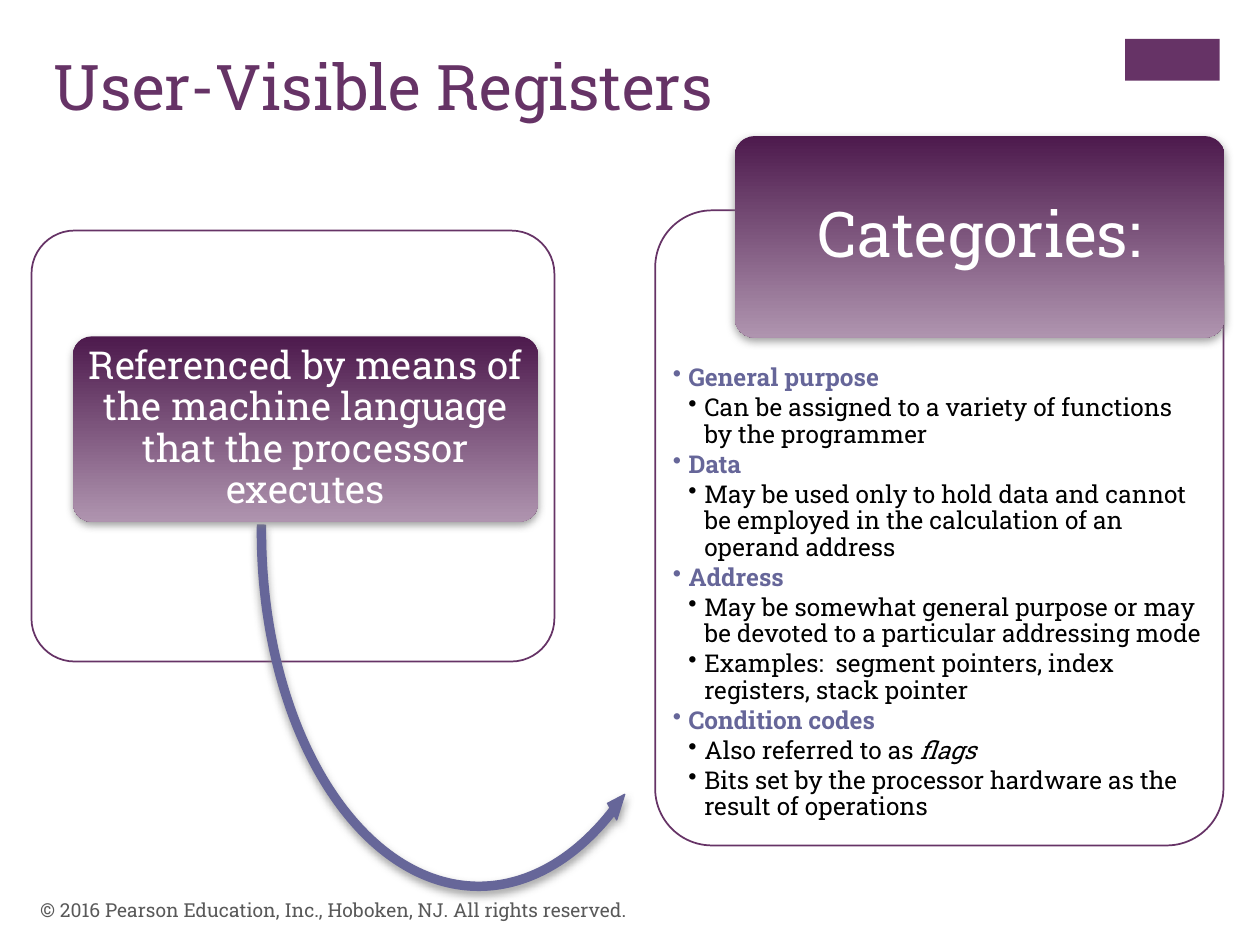
from lxml import etree
from pptx import Presentation
from pptx.dml.color import RGBColor
from pptx.enum.shapes import MSO_SHAPE
from pptx.enum.text import MSO_ANCHOR, PP_ALIGN
from pptx.oxml.ns import qn
from pptx.util import Inches, Pt

RECTANGLE = MSO_SHAPE.RECTANGLE
ROUNDED = MSO_SHAPE.ROUNDED_RECTANGLE
CURVED_ARROW = MSO_SHAPE.LEFT_CIRCULAR_ARROW
TOP, MIDDLE = MSO_ANCHOR.TOP, MSO_ANCHOR.MIDDLE
LEFT, CENTER = PP_ALIGN.LEFT, PP_ALIGN.CENTER

FONT = "Roboto Slab"
PURPLE = RGBColor(0x66, 0x33, 0x66)
DARK_PURPLE = RGBColor(0x4D, 0x1A, 0x4D)
PALE_PURPLE = RGBColor(0xAF, 0x94, 0xAF)
SLATE = RGBColor(0x66, 0x66, 0x99)
GRAY = RGBColor(0x59, 0x59, 0x59)
WHITE = RGBColor(0xFF, 0xFF, 0xFF)
BLACK = RGBColor(0, 0, 0)

# Each category: its name and points; a point is a list of (text, italic) spans.
CATEGORIES = [
    ("General purpose", [
        [("Can be assigned to a variety of functions by the programmer", False)],
    ]),
    ("Data", [
        [("May be used only to hold data and cannot be employed in the "
          "calculation of an operand address", False)],
    ]),
    ("Address", [
        [("May be somewhat general purpose or may be devoted to a particular "
          "addressing mode", False)],
        [("Examples:  segment pointers, index registers, stack pointer", False)],
    ]),
    ("Condition codes", [
        [("Also referred to as ", False), ("flags", True)],
        [("Bits set by the processor hardware as the result of operations", False)],
    ]),
]


def add_span(para, text, size, color, bold=False, italic=False):
    span = para.add_run()
    span.text = text
    font = span.font
    font.name, font.size = FONT, Pt(size)
    font.bold, font.italic = bold, italic
    font.color.rgb = color


def set_frame(shape, inset_x, inset_y, anchor):
    frame = shape.text_frame
    frame.word_wrap = True
    frame.margin_left = frame.margin_right = Inches(inset_x)
    frame.margin_top = frame.margin_bottom = Inches(inset_y)
    frame.vertical_anchor = anchor
    return frame


def add_box(page, box, inset_x=0.1, inset_y=0.05, anchor=TOP):
    shape = page.shapes.add_textbox(*map(Inches, box))
    return set_frame(shape, inset_x, inset_y, anchor)


def add_line_of_text(page, box, text, size, color, anchor=TOP):
    para = add_box(page, box, anchor=anchor).paragraphs[0]
    add_span(para, text, size, color)


def add_shape(page, preset, box, fill=None, line=None, line_width=1):
    shape = page.shapes.add_shape(preset, *map(Inches, box))
    shape.shadow.inherit = False
    if fill is not None:
        shape.fill.solid()
        shape.fill.fore_color.rgb = fill
    if line is None:
        shape.line.fill.background()
    else:
        shape.line.color.rgb = line
        shape.line.width = Pt(line_width)
    return shape


def add_soft_shadow(shape):
    effects = shape._element.spPr.find(qn("a:effectLst"))
    shadow = etree.SubElement(effects, qn("a:outerShdw"), blurRad=str(Pt(5)),
                              dist=str(Pt(2)), dir="5400000", rotWithShape="0")
    color = etree.SubElement(shadow, qn("a:srgbClr"), val="808080")
    etree.SubElement(color, qn("a:alpha"), val="75000")


def add_panel(page, box):
    panel = add_shape(page, ROUNDED, box, WHITE, PURPLE)
    panel.adjustments[0] = 0.1
    color = panel._element.spPr.find(qn("a:solidFill"))[0]
    etree.SubElement(color, qn("a:alpha"), val="90000")


def add_gradient_card(page, box, text, size, inset_x, inset_y):
    card = add_shape(page, ROUNDED, box)
    card.adjustments[0] = 0.1
    card.fill.gradient()
    card.fill.gradient_angle = 270
    for stop, color in zip(card.fill.gradient_stops, (DARK_PURPLE, PALE_PURPLE)):
        stop.color.rgb = color
    add_soft_shadow(card)
    para = set_frame(card, inset_x, inset_y, MIDDLE).paragraphs[0]
    para.alignment = CENTER
    para.line_spacing = 0.9
    add_span(para, text, size, WHITE)


def add_curved_arrow(page, box):
    arrow = add_shape(page, CURVED_ARROW, box, SLATE, SLATE, 0.75)
    for index, value in enumerate((0.018, 2.16, 38.717, 109.047, 0.021)):
        arrow.adjustments[index] = value
    add_soft_shadow(arrow)


def format_bullet(para, level):
    para.level = level
    para.alignment = LEFT
    para.line_spacing = 0.9
    para.space_after = Pt(2)
    properties = para._p.get_or_add_pPr()
    properties.set("marL", str(Inches(0.125 * level)))
    properties.set("indent", str(Inches(-0.125)))
    etree.SubElement(properties, qn("a:buChar"), char="•")


def add_category_list(page, box):
    frame = add_box(page, box, 0.03, 0.03)
    entries = []
    for name, points in CATEGORIES:
        entries.append((1, SLATE, [(name, False)]))
        entries.extend((2, BLACK, point) for point in points)
    for index, (level, color, spans) in enumerate(entries):
        para = frame.add_paragraph() if index else frame.paragraphs[0]
        format_bullet(para, level)
        for text, italic in spans:
            add_span(para, text, 14, color, bold=level == 1, italic=italic)


def add_reference_region(page, left, top):
    add_panel(page, (left, top, 4.15, 3.42))
    add_curved_arrow(page, (left + 1.75, top - 0.5, 3.6, 5.78))
    add_gradient_card(
        page, (left + 0.33, top + 0.84, 3.69, 1.47),
        "Referenced by means of the machine language that the processor executes",
        22, 0.05, 0.03)


def add_categories_region(page, left, top):
    add_panel(page, (left, top, 4.51, 5.04))
    add_category_list(page, (left + 0.11, top + 1.2, 4.27, 3.73))
    add_gradient_card(page, (left + 0.63, top - 0.59, 3.89, 1.6),
                      "Categories:", 36, 0.07, 0.05)


def main():
    deck = Presentation()
    deck.slide_width, deck.slide_height = Inches(10), Inches(7.5)
    page = deck.slides.add_slide(deck.slide_layouts[6])
    add_shape(page, RECTANGLE, (8.93, 0.31, 0.75, 0.33), PURPLE)
    add_line_of_text(page, (0.33, 0.33, 8.26, 1.22),
                     "User-Visible Registers", 36, PURPLE)
    add_reference_region(page, 0.25, 1.83)
    add_categories_region(page, 5.2, 1.67)
    add_line_of_text(
        page, (0.22, 7.02, 6.7, 0.4),
        "© 2016 Pearson Education, Inc., Hoboken, NJ. All rights reserved.",
        11, GRAY, MIDDLE)
    deck.save("out.pptx")


if __name__ == "__main__":
    main()
